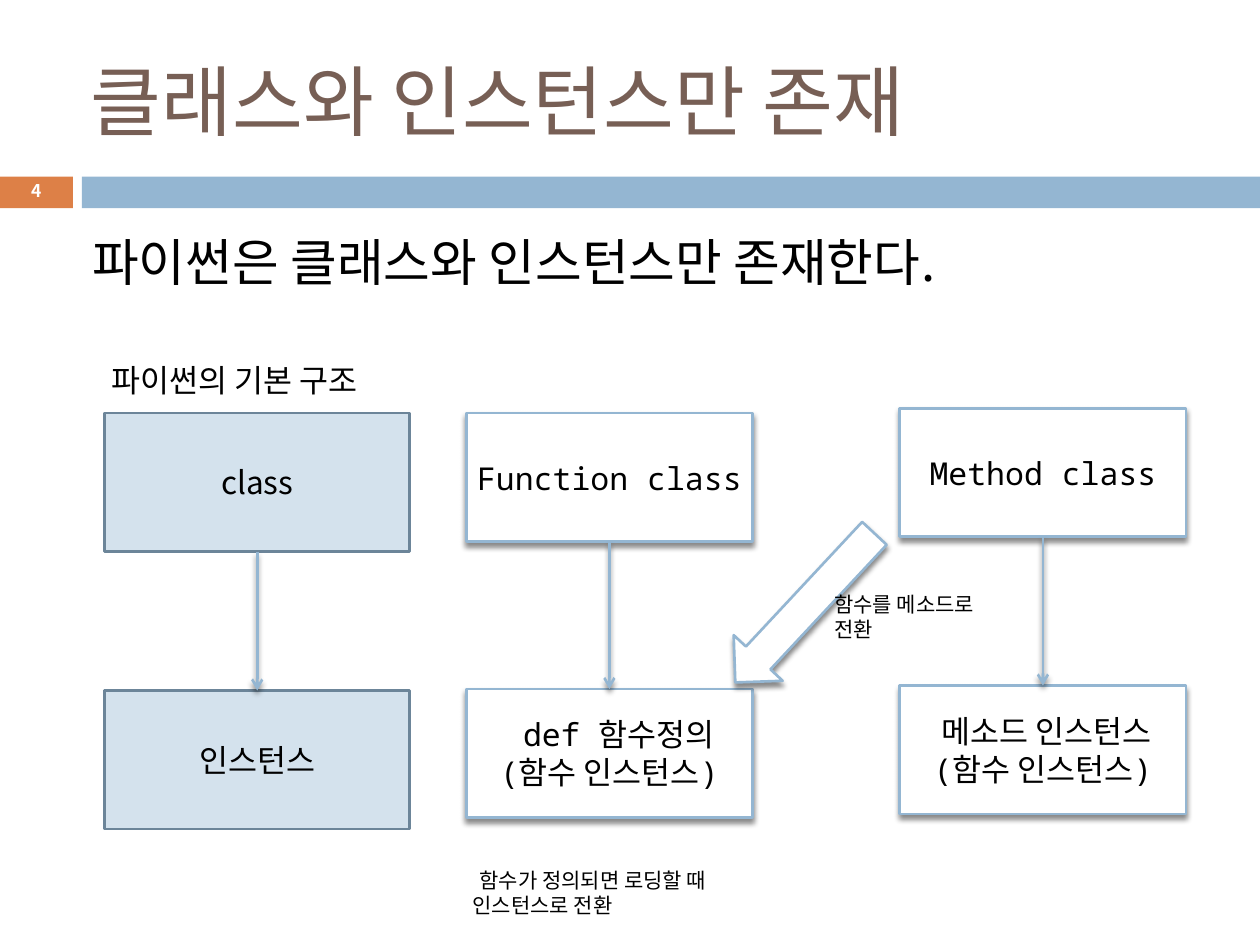
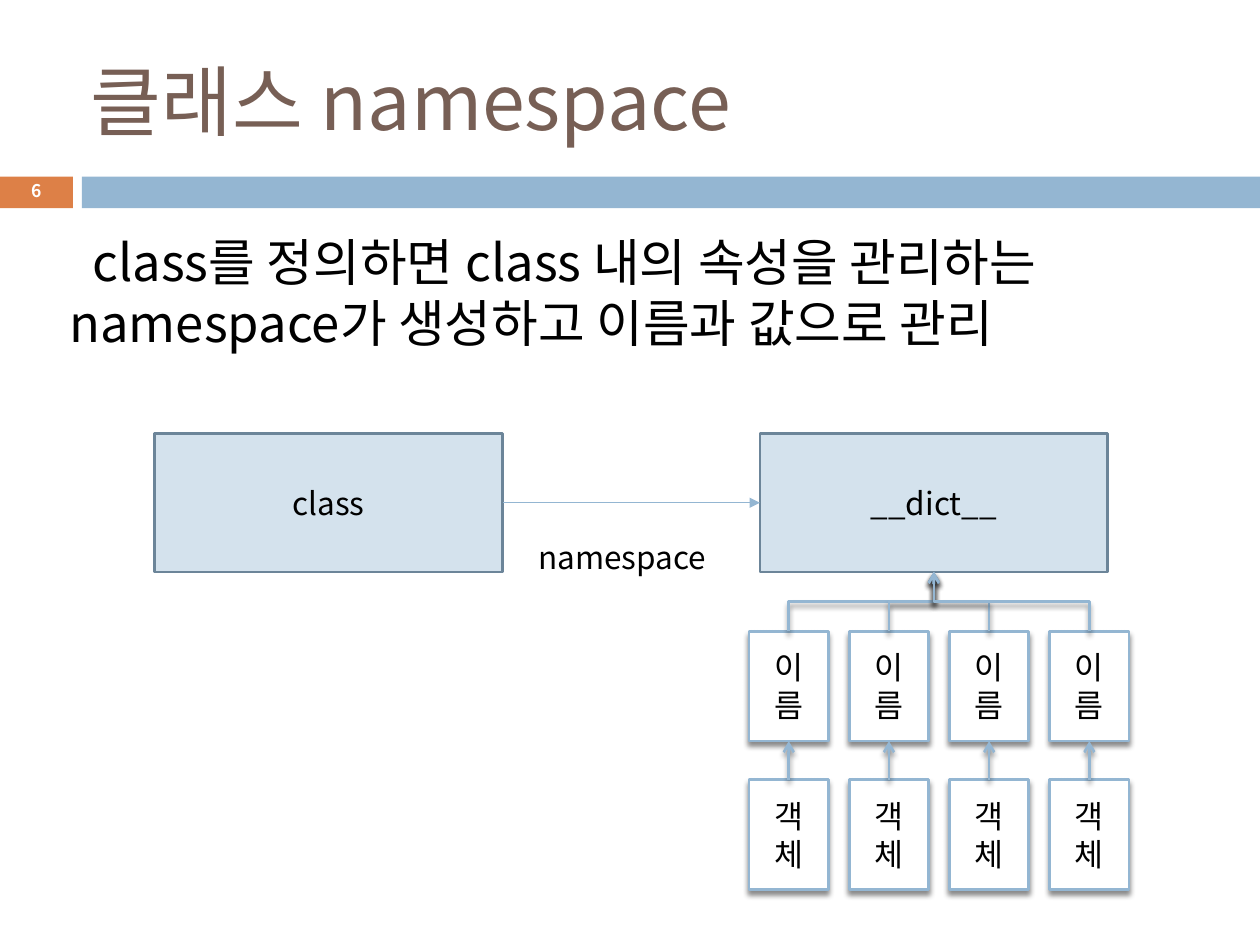
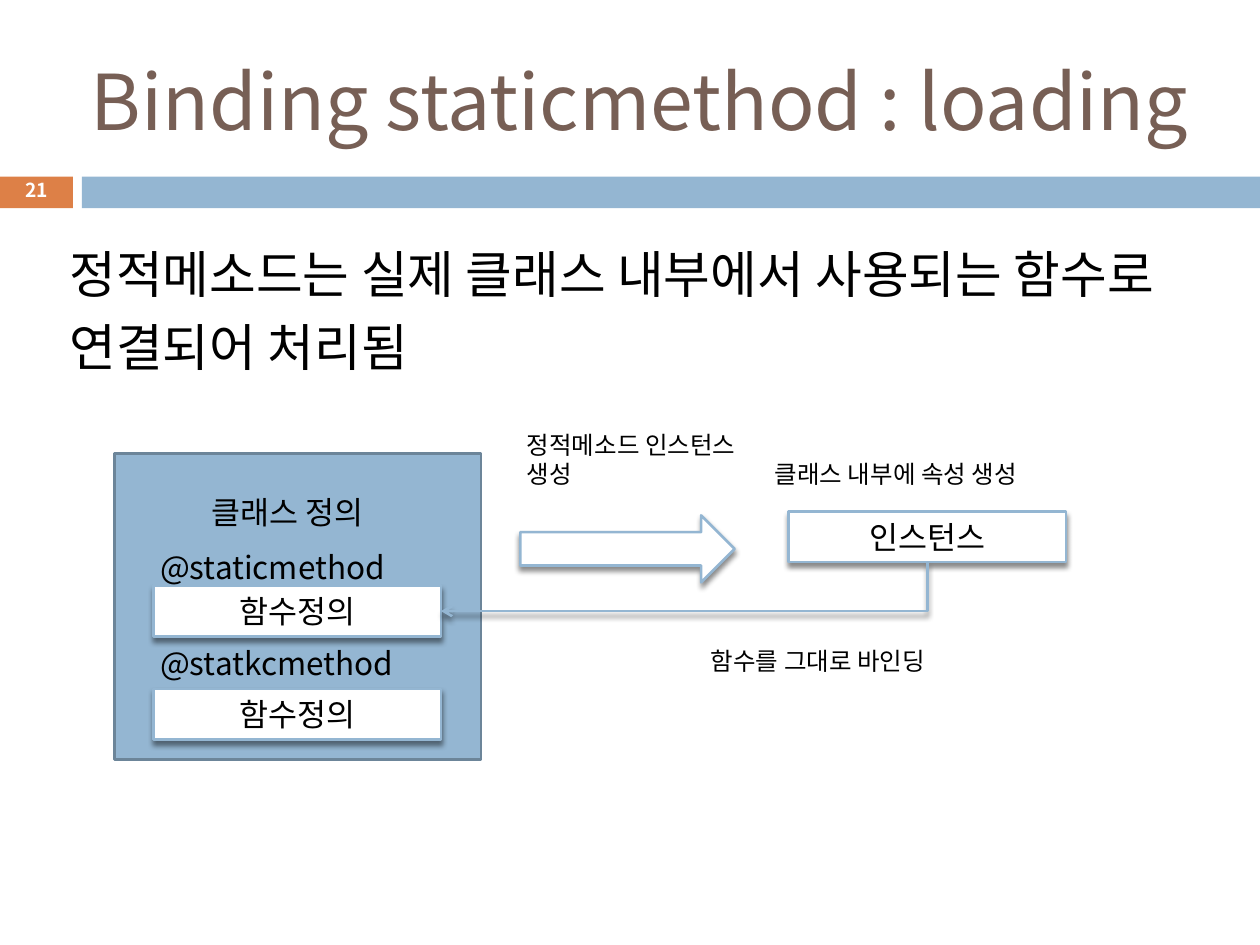
from lxml import etree
from pptx import Presentation
from pptx.dml.color import RGBColor
from pptx.enum.shapes import MSO_CONNECTOR, MSO_SHAPE
from pptx.enum.text import MSO_ANCHOR, PP_ALIGN
from pptx.oxml.ns import qn
from pptx.util import Cm, Pt

RECTANGLE, RIGHT_ARROW = MSO_SHAPE.RECTANGLE, MSO_SHAPE.RIGHT_ARROW
STRAIGHT, ELBOW = MSO_CONNECTOR.STRAIGHT, MSO_CONNECTOR.ELBOW
TOP, MIDDLE = MSO_ANCHOR.TOP, MSO_ANCHOR.MIDDLE
LEFT, CENTER = PP_ALIGN.LEFT, PP_ALIGN.CENTER
SITE_TOP, SITE_BOTTOM, SITE_RIGHT, SITE_LEFT = 0, 2, 3, 1
SANS, MONO = "Noto Sans CJK KR", "Noto Sans Mono"
COLORS = {
    "title": "775F55",
    "text": "000000",
    "white": "FFFFFF",
    "number": "DD8047",
    "band": "94B6D2",
    "pale": "D4E2ED",
    "edge": "6C8599",
}


def color(name):
    """Return the named palette colour."""
    return RGBColor.from_string(COLORS[name])


def write(shape, text, size=18, font=SANS, ink="text", align=LEFT, anchor=TOP,
          bold=False, spacing=None, indent=0):
    """Fill a shape with uniformly formatted text."""
    frame = shape.text_frame
    frame.word_wrap = True
    frame.vertical_anchor = anchor
    frame.margin_left = frame.margin_right = Cm(0.13)
    frame.margin_top = frame.margin_bottom = Cm(0.13)
    frame.text = text
    for para in frame.paragraphs:
        para.alignment = align
        para.line_spacing = spacing
        if indent:
            para._p.get_or_add_pPr().set("indent", str(Cm(indent)))
        for span in para.runs:
            span.font.size = Pt(size)
            span.font.bold = bold
            span.font.name = font
            span.font.color.rgb = color(ink)
            east_asian = etree.SubElement(span._r.get_or_add_rPr(), qn("a:ea"))
            east_asian.set("typeface", SANS)


def add_effects(shape, shadow):
    """Give a shape or connector a soft shadow below, or no shadow at all."""
    properties = shape._element.spPr
    for old in properties.findall(qn("a:effectLst")):
        properties.remove(old)
    effects = etree.SubElement(properties, qn("a:effectLst"))
    if shadow:
        outer = etree.SubElement(effects, qn("a:outerShdw"), blurRad=str(Pt(3)),
                                 dist=str(Pt(2.4)), dir="5400000", rotWithShape="0")
        black = etree.SubElement(outer, qn("a:srgbClr"), val=COLORS["text"])
        etree.SubElement(black, qn("a:alpha"), val="45000")


def add_block(page, place, fill, edge=None, shadow=False, preset=RECTANGLE):
    """Add a filled preset shape."""
    block = page.shapes.add_shape(preset, *map(Cm, place))
    block.fill.solid()
    block.fill.fore_color.rgb = color(fill)
    if edge:
        block.line.color.rgb = color(edge)
        block.line.width = Pt(1.5)
    else:
        block.line.fill.background()
    add_effects(block, shadow)
    return block


def add_pale_box(page, place, text):
    """Add a pale blue box with a centred label."""
    box = add_block(page, place, "pale", "edge")
    write(box, text, align=CENTER, anchor=MIDDLE)
    return box


def add_white_box(page, place, text):
    """Add a white shadowed box with a centred label."""
    box = add_block(page, place, "white", "band", shadow=True)
    write(box, text, font=MONO, align=CENTER, anchor=MIDDLE)
    return box


def add_wide_arrow(page, place, rotation=0):
    """Add a white block arrow."""
    arrow = add_block(page, place, "white", "band", True, RIGHT_ARROW)
    arrow.rotation = rotation


def add_text(page, place, text, **style):
    """Add a text box."""
    box = page.shapes.add_textbox(*map(Cm, place))
    write(box, text, **style)


def add_link(page, source, source_site, target, target_site, kind=STRAIGHT,
             width=1.5, head="arrow", shadow=True):
    """Connect two shapes with an arrow."""
    link = page.shapes.add_connector(kind, 0, 0, 0, 0)
    link.begin_connect(source, source_site)
    link.end_connect(target, target_site)
    link.line.color.rgb = color("band")
    link.line.width = Pt(width)
    etree.SubElement(link.line._get_or_add_ln(), qn("a:tailEnd"), type=head)
    add_effects(link, shadow)
    return link


def add_elbow(page, source, source_site, target, target_site, turn=90,
              preset="bentConnector3"):
    """Connect two shapes with a bent arrow that leaves vertically."""
    link = add_link(page, source, source_site, target, target_site, ELBOW)
    sign = 1 if turn == 90 else -1
    center_x = (link.begin_x + link.end_x) // 2
    center_y = (link.begin_y + link.end_y) // 2
    half_x = sign * (link.begin_y - center_y)
    half_y = sign * (center_x - link.begin_x)
    link.begin_x, link.begin_y = center_x + half_x, center_y + half_y
    link.end_x, link.end_y = center_x - half_x, center_y - half_y
    properties = link._element.spPr
    properties.find(qn("a:xfrm")).set("rot", str(turn * 60000))
    properties.find(qn("a:prstGeom")).set("prst", preset)


def add_page(deck, number, title, body, number_size=10, **body_style):
    """Add a page with its bands, number, title and lead text."""
    page = deck.slides.add_slide(deck.slide_layouts[6])
    badge = add_block(page, (0, 3.56, 1.47, 0.64), "number")
    write(badge, number, number_size, ink="white", align=CENTER, anchor=MIDDLE,
          bold=True, spacing=0.8)
    add_block(page, (1.65, 3.56, 23.75, 0.64), "band")
    add_text(page, (1.7, 0.64, 22.66, 2.74), title, size=44, ink="title",
             anchor=MIDDLE)
    add_text(page, (1.27, 4.52, 22.86, 3.81), body, size=29, **body_style)
    return page


def build_structure(deck):
    """Build the page on classes and their instances."""
    page = add_page(deck, "4", "클래스와 인스턴스만 존재",
                    "파이썬은 클래스와 인스턴스만 존재한다.", indent=0.46)
    add_text(page, (2.11, 7.14, 5.99, 1.02), "파이썬의 기본 구조")
    columns = [
        (add_pale_box, 2.11, 8.33, 13.92, 6.15, 2.79, "class", "인스턴스"),
        (add_white_box, 9.4, 8.33, 13.89, 5.77, 2.59,
         "Function class", " def 함수정의\n(함수 인스턴스)"),
        (add_white_box, 18.14, 8.23, 13.82, 5.77, 2.59,
         "Method class", " 메소드 인스턴스\n(함수 인스턴스)"),
    ]
    for add_box, left, upper, lower, width, height, kind, instance in columns:
        kind_box = add_box(page, (left, upper, width, height), kind)
        instance_box = add_box(page, (left, lower, width, height), instance)
        add_link(page, kind_box, SITE_BOTTOM, instance_box, SITE_TOP)
    add_wide_arrow(page, (14.17, 11.58, 4.11, 1.35), rotation=133)
    add_text(page, (16.69, 11.79, 3.4, 1.27), "함수를 메소드로 전환", size=12)
    add_text(page, (9.4, 17.35, 5.59, 1.3),
             "함수가 정의되면 로딩할 때 인스턴스로 전환", size=12, indent=0.14)


def build_namespace(deck):
    """Build the page on the class namespace."""
    page = add_page(deck, "6", "클래스 namespace",
                    "class를 정의하면 class 내의 속성을 관리하는 "
                    "namespace가 생성하고 이름과 값으로 관리", indent=0.46)
    class_box = add_pale_box(page, (3.12, 8.74, 7.01, 2.79), "class")
    dict_box = add_pale_box(page, (15.32, 8.74, 7.01, 2.79), "__dict__")
    add_link(page, class_box, SITE_RIGHT, dict_box, SITE_LEFT,
             width=0.79, head="triangle", shadow=False)
    add_text(page, (10.72, 10.72, 3.99, 1.02), "namespace")
    for column in range(4):
        left = 15.1 + 2.02 * column
        name_box = add_white_box(page, (left, 12.73, 1.6, 2.21), "이\n름")
        object_box = add_white_box(page, (left, 15.72, 1.6, 2.21), "객\n체")
        add_link(page, object_box, SITE_TOP, name_box, SITE_BOTTOM)
        add_elbow(page, name_box, SITE_TOP, dict_box, SITE_BOTTOM,
                  turn=90 if column < 2 else 270)


def build_static_method(deck):
    """Build the page on binding a static method."""
    page = add_page(deck, "21", "Binding staticmethod : loading",
                    "정적메소드는 실제 클래스 내부에서 사용되는 함수로 연결되어 처리됨",
                    number_size=11, spacing=1.2)
    add_block(page, (2.31, 9.14, 7.39, 6.17), "band", "edge")
    add_text(page, (3.1, 9.8, 5.41, 1.02), "클래스 정의", font=MONO, align=CENTER)
    function_boxes = []
    for decorator, label_top, box_top in (("@staticmethod", 10.92, 11.81),
                                          ("@statkcmethod", 12.85, 13.89)):
        function_boxes.append(
            add_white_box(page, (3.1, box_top, 5.79, 1.02), "함수정의"))
        add_text(page, (3.1, label_top, 5.41, 1.02), decorator)
    instance_box = add_white_box(page, (15.9, 10.31, 5.59, 1.02), "인스턴스")
    add_wide_arrow(page, (10.49, 10.39, 4.32, 1.35))
    add_elbow(page, instance_box, SITE_BOTTOM, function_boxes[0], SITE_RIGHT,
              preset="bentConnector2")
    notes = [
        ((10.49, 8.53, 4.6, 1.45), "정적메소드 인스턴스 생성"),
        ((15.49, 9.12, 6.76, 0.86), "클래스 내부에 속성 생성"),
        ((14.2, 12.9, 5.21, 0.86), "함수를 그대로 바인딩"),
    ]
    for place, text in notes:
        add_text(page, place, text, size=14)


def main():
    """Build and save the deck."""
    deck = Presentation()
    deck.slide_width, deck.slide_height = Cm(25.4), Cm(19.05)
    build_structure(deck)
    build_namespace(deck)
    build_static_method(deck)
    deck.save("out.pptx")


if __name__ == "__main__":
    main()
